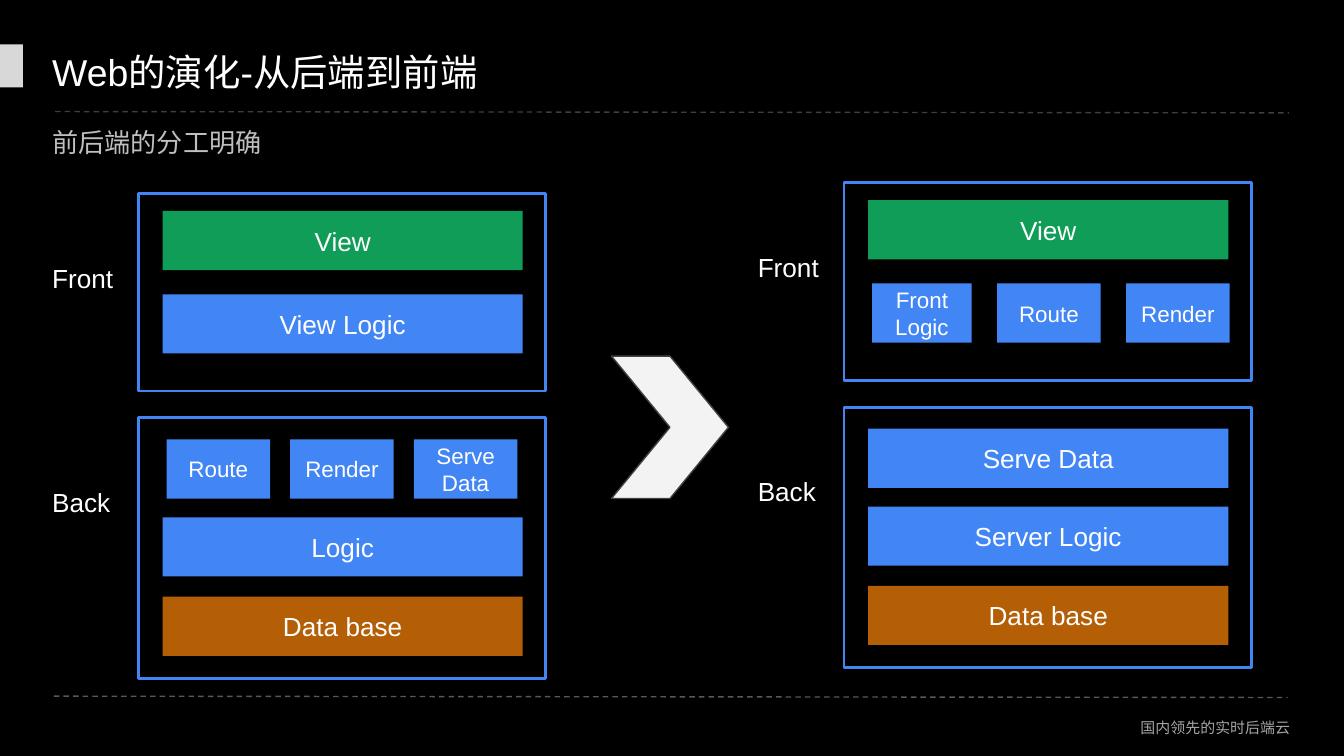
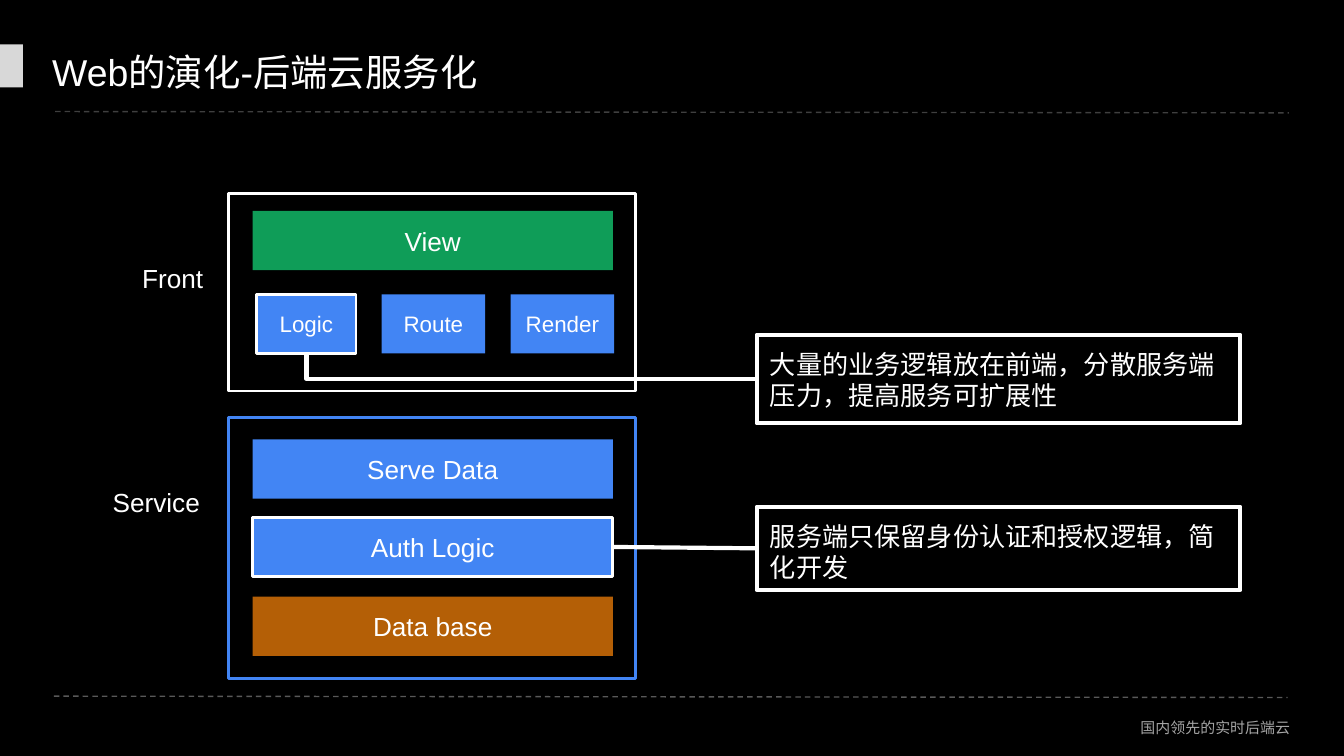
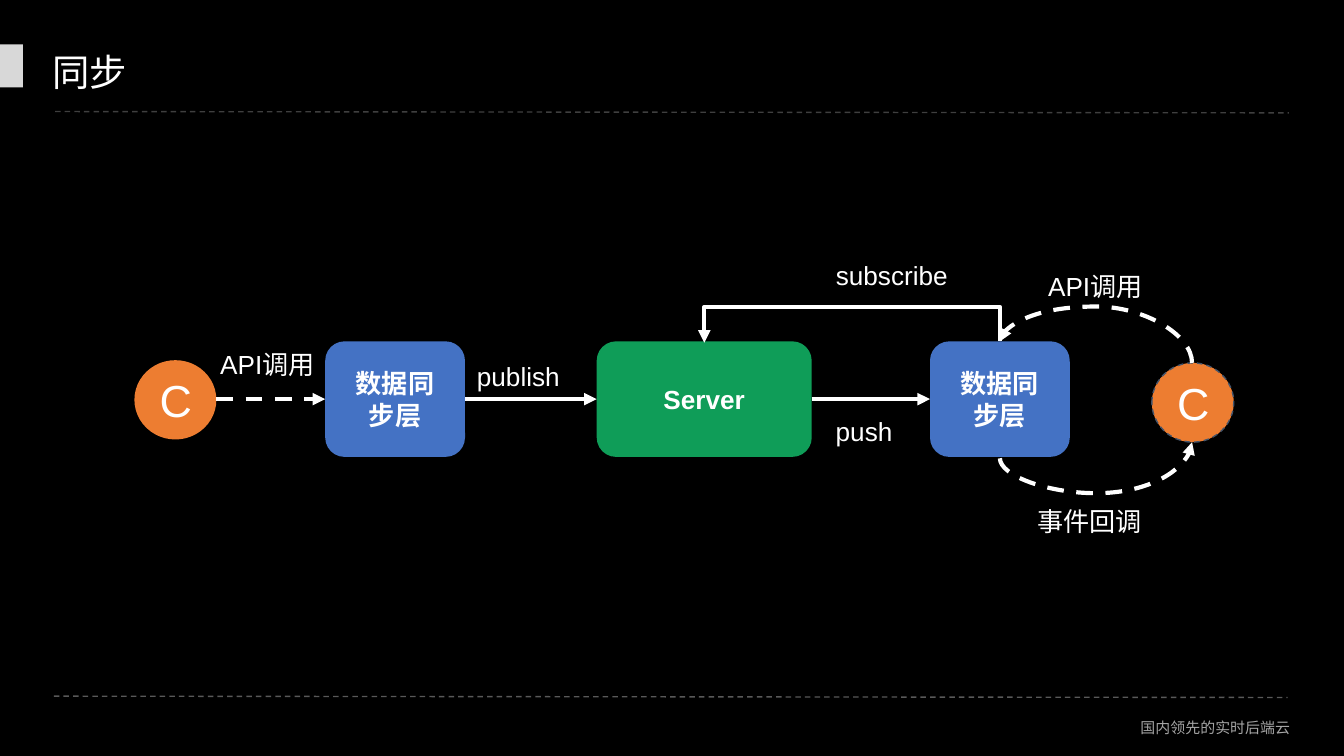
from lxml.etree import SubElement
from pptx import Presentation
from pptx.dml.color import RGBColor
from pptx.enum.dml import MSO_LINE
from pptx.enum.shapes import MSO_CONNECTOR as CONN, MSO_SHAPE as SHAPE
from pptx.enum.text import MSO_ANCHOR as ANCHOR, PP_ALIGN as ALIGN
from pptx.oxml.ns import qn
from pptx.util import Emu, Pt

# Palette
WHITE, BLACK = "FFFFFF", "000000"
BLUE, GREEN, BROWN = "4285F4", "0F9D58", "B45F06"
NAVY, ORANGE = "4472C4", "ED7D31"
FILLS = {"View": GREEN, "Data base": BROWN}

# Connection sites of a rectangle
LEFT, RIGHT = 1, 3

# Tier layout, relative to the front panel's corner
PANEL_W, FRONT_H, BACK_H, BACK_DY = 303, 147, 194, 167
ROW_DY = (13, 75, 183, 241, 300)
BAR_DX, BAR_W, TILE_H = 18, 268, 44
CHIP_DX, CHIP_W, SLIM_CHIP_W = 21, 77, 74


def px(n):
    """100 px to the inch."""
    return Emu(round(n * 9144))


def rgb(code):
    return RGBColor.from_string(code)


class Deck:
    font = "Arial"

    def __init__(self):
        self.prs = Presentation()
        self.prs.slide_width = px(1000)
        self.prs.slide_height = self.prs.slide_width * 9 // 16
        self.s = None

    def slide(self, title):
        """Start a slide with the shared background, band, rules and footer."""
        self.s = self.prs.slides.add_slide(self.prs.slide_layouts[6])
        fill = self.s.background.fill
        fill.solid()
        fill.fore_color.rgb = rgb(BLACK)
        self.text("国内领先的实时后端云", 637, 530, 333, 23, size=8, color="A5A5A5",
                  align=ALIGN.RIGHT, pad=5)
        self.shape(SHAPE.RECTANGLE, -1, 33, 18, 32, fill="D8D8D8")
        self.line((40, 518), (958, 519), "595959", 0.75, dash=True)
        self.line((41, 83), (959, 84), "3F3F3F", 0.75, dash=True)
        self.text(title, 29, 18, 853, 70, size=20, anchor=ANCHOR.MIDDLE)

    # Text
    def set_text(self, sp, text, size, color=WHITE, align=ALIGN.LEFT,
                 anchor=ANCHOR.TOP, bold=False, pad=10):
        tf = sp.text_frame
        tf.word_wrap = True
        tf.vertical_anchor = anchor
        tf.margin_left = tf.margin_right = px(10)
        tf.margin_top = tf.margin_bottom = px(pad)
        tf.text = text
        p = tf.paragraphs[0]
        p.alignment = align
        f = p.runs[0].font
        f.name, f.size, f.bold = self.font, Pt(size), bold
        f.color.rgb = rgb(color)

    def text(self, text, x, y, w, h, size=14, **style):
        sp = self.s.shapes.add_textbox(px(x), px(y), px(w), px(h))
        self.set_text(sp, text, size, **style)

    # Shapes
    def outline(self, sp, color, width, dash=False):
        sp.line.color.rgb = rgb(color)
        sp.line.width = Pt(width)
        if dash:
            sp.line.dash_style = MSO_LINE.DASH

    def shape(self, kind, x, y, w, h, fill=None):
        sp = self.s.shapes.add_shape(kind, px(x), px(y), px(w), px(h))
        sp.shadow.inherit = False
        sp.line.fill.background()
        if fill:
            sp.fill.solid()
            sp.fill.fore_color.rgb = rgb(fill)
        else:
            sp.fill.background()
        return sp

    def frame(self, x, y, w, h, color, width=1.5):
        sp = self.shape(SHAPE.RECTANGLE, x, y, w, h)
        self.outline(sp, color, width)
        return sp

    def tile(self, text, x, y, w, h, fill, size=14, kind=SHAPE.RECTANGLE, bold=False):
        sp = self.shape(kind, x, y, w, h, fill)
        self.set_text(sp, text, size, align=ALIGN.CENTER, anchor=ANCHOR.MIDDLE, bold=bold)
        return sp

    def note(self, text, x, y, w, h):
        sp = self.frame(x, y, w, h, WHITE, 2.25)
        self.set_text(sp, text, 14)
        return sp

    # Connectors
    def line(self, start, end, color=WHITE, width=2.25, dash=False, arrow=False,
             kind=CONN.STRAIGHT):
        ln = self.s.shapes.add_connector(kind, *map(px, start + end))
        self.outline(ln, color, width, dash)
        spPr = ln.element.spPr
        if arrow:
            SubElement(spPr.find(qn("a:ln")), qn("a:tailEnd"), type="triangle")
        SubElement(spPr, qn("a:effectLst"))
        return ln

    def join(self, a, b, **style):
        """Straight line from the right side of a to the left side of b."""
        ln = self.line((0, 0), (1, 1), **style)
        ln.begin_connect(a, RIGHT)
        ln.end_connect(b, LEFT)

    def turn(self, ln, degrees, flip=False):
        xfrm = ln.element.spPr.find(qn("a:xfrm"))
        xfrm.set("rot", str(degrees * 60000))
        if flip:
            xfrm.set("flipH", "1")
        return ln.element.spPr.find(qn("a:prstGeom"))

    def corner(self, start, end):
        """Run left from start, then up to end."""
        geom = self.turn(self.line(end, start, kind=CONN.ELBOW), 180)
        geom.set("prst", "bentConnector2")

    def loop(self, start, end, level, kind, dash=False):
        """Leave start vertically, cross at height level, arrive at end."""
        (x0, y0), (x1, y1) = start, end
        w, h = abs(y1 - y0), abs(x1 - x0)
        x, y = (x0 + x1 - w) / 2, (y0 + y1 - h) / 2
        ln = self.line((x, y), (x + w, y + h), dash=dash, arrow=True, kind=kind)
        leftward = x1 < x0
        geom = self.turn(ln, 90 if leftward else 270, leftward == (y1 < y0))
        adj = round((level - y0) / (y1 - y0) * 100000)
        SubElement(geom.find(qn("a:avLst")), qn("a:gd"), name="adj1", fmla=f"val {adj}")

    # Front and back panels with their rows of tiles
    def tiers(self, x, y, rows, back="Back", back_label_w=74, front_color=BLUE,
              chip_gap=19, slim=None):
        self.frame(x, y, PANEL_W, FRONT_H, front_color)
        self.frame(x, y + BACK_DY, PANEL_W, BACK_H, BLUE)
        self.text("Front", x - 74, y + 41, 74, 56)
        self.text(back, x - back_label_w, y + BACK_DY + 41, back_label_w, 56)
        tiles = {}
        for names, dy in zip(rows, ROW_DY):
            single = len(names) == 1
            left = x + (BAR_DX if single else CHIP_DX)
            for name in names:
                w = BAR_W if single else SLIM_CHIP_W if name == slim else CHIP_W
                tiles[name] = self.tile(name, left, y + dy, w, TILE_H,
                                        FILLS.get(name, BLUE), 14 if single else 12)
                left += w + chip_gap
        return tiles


def back_to_front(d):
    d.slide("Web的演化-从后端到前端")
    d.text("前后端的分工明确", 29, 83, 932, 45, color="BFBFBF", anchor=ANCHOR.MIDDLE)
    d.tiers(103, 144, [["View"], ["View Logic"], ["Route", "Render", "Serve Data"],
                       ["Logic"], ["Data base"]], chip_gap=15)
    d.tiers(628, 136, [["View"], ["Front Logic", "Route", "Render"], ["Serve Data"],
                       ["Server Logic"], ["Data base"]], slim="Front Logic")
    chevron = d.shape(SHAPE.CHEVRON, 455, 265, 87, 106, "F3F3F3")
    d.outline(chevron, "424242", 0.75)


def cloud_service(d):
    d.slide("Web的演化-后端云服务化")
    tiles = d.tiers(170, 144, [["View"], ["Logic", "Route", "Render"], ["Serve Data"],
                               ["Auth Logic"], ["Data base"]],
                    back="Service", back_label_w=96, front_color=WHITE, slim="Logic")
    for name in ("Logic", "Auth Logic"):
        d.outline(tiles[name], WHITE, 1.5)
    d.note("大量的业务逻辑放在前端，分散服务端压力，提高服务可扩展性", 563, 249, 360, 66)
    d.corner((563, 282), (228, 263))
    auth = d.note("服务端只保留身份认证和授权逻辑，简化开发", 563, 377, 360, 62)
    d.join(tiles["Auth Logic"], auth)


def sync(d):
    d.slide("同步")
    # Nodes
    sender, server, receiver = [
        d.tile(name, x, 254, w, 86, fill, kind=SHAPE.ROUNDED_RECTANGLE, bold=True)
        for name, x, w, fill in (("数据同步层", 242, 104, NAVY), ("Server", 444, 160, GREEN),
                                 ("数据同步层", 692, 104, NAVY))]
    clients = [d.tile("C", x, y, 61, 59, ORANGE, 24, SHAPE.OVAL)
               for x, y in ((100, 268), (857, 270))]
    d.outline(clients[1], "44546A", 0.75, dash=True)
    # Arrows
    call = d.line((161, 297), (242, 297), dash=True, arrow=True)
    call.end_connect(sender, LEFT)
    d.join(sender, server, arrow=True)
    d.join(server, receiver, arrow=True)
    d.loop((744, 254), (524, 255), 228, CONN.ELBOW)
    d.loop((744, 341), (887, 329), 367, CONN.CURVE, dash=True)
    d.loop((887, 270), (744, 254), 228, CONN.CURVE, dash=True)
    # Labels
    for label, x, y, w in (("publish", 345, 258, 86), ("push", 612, 299, 86),
                           ("subscribe", 612, 183, 118), ("API调用", 154, 249, 129),
                           ("API调用", 770, 191, 129), ("事件回调", 762, 366, 129)):
        d.text(label, x, y, w, 42)


def main():
    d = Deck()
    back_to_front(d)
    cloud_service(d)
    sync(d)
    d.prs.save("out.pptx")


if __name__ == "__main__":
    main()
